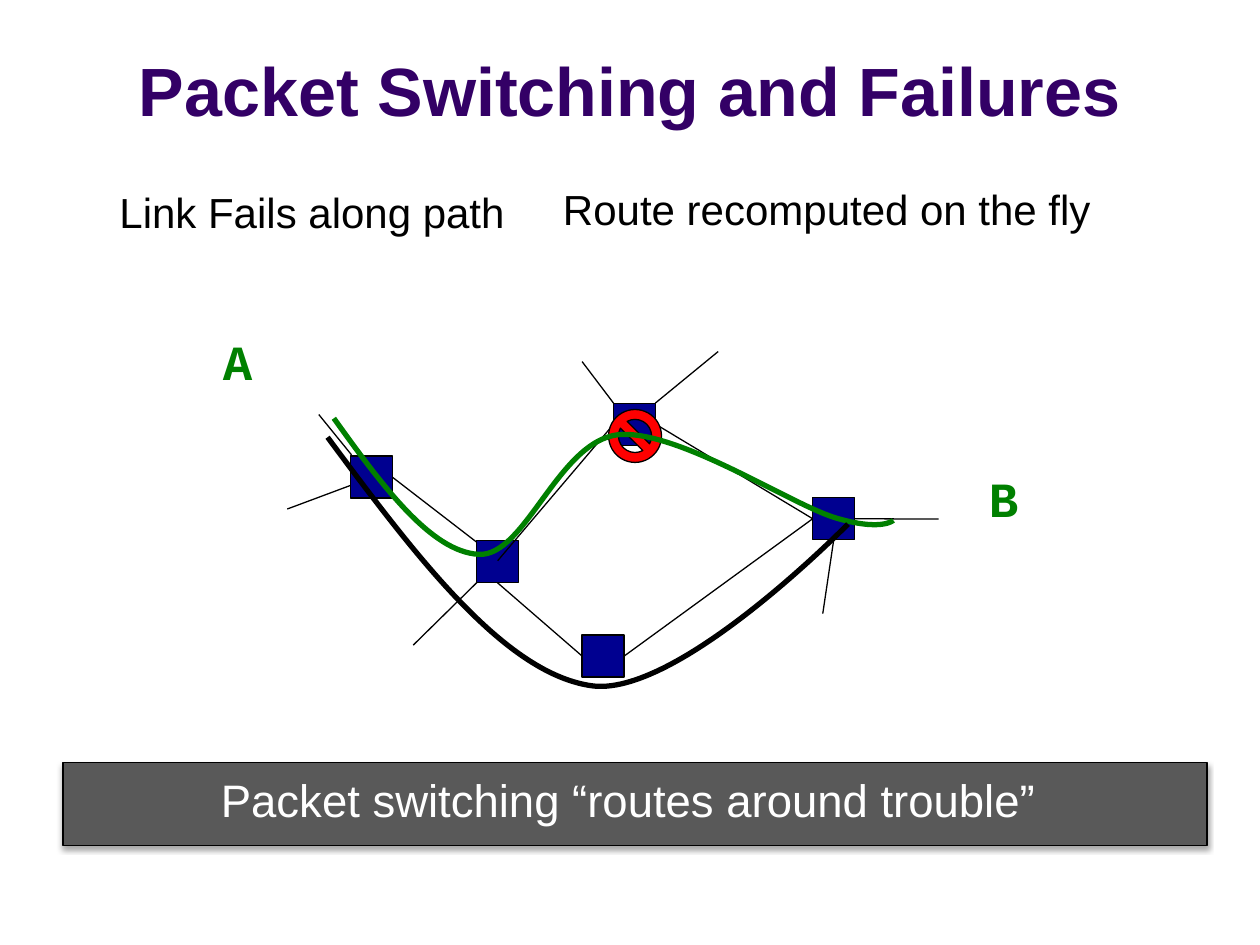
from lxml import etree
from pptx import Presentation, util as u
from pptx.dml.color import RGBColor
from pptx.enum import shapes, text
from pptx.oxml import ns

COLUMNS, ROWS = 100, 75
CELL = u.Inches(0.1)
BLACK, GREEN, NAVY = "000000", "008000", "000090"
NODE = 3.34
TOP, LEFT, BOTTOM, RIGHT = range(4)

NODES = {
    "south": (26.2, 25.4),
    "north": (28.7, 7),
    "east": (44.5, 14.5),
    "west": (7.8, 11.2),
    "hub": (17.8, 17.9),
}
LINKS_BEHIND = [
    ((12.8, 26.2), (18.7, 20.4)),
    ((5.3, 7.9), (7.9, 11.1)),
    ((9.5, 12.9), (2.8, 15.4)),
    ((26.2, 3.7), (28.7, 7)),
    ((37, 2.9), (32, 7)),
]
LINKS_IN_FRONT = [
    (("hub", BOTTOM), ("south", LEFT)),
    ((19.5, 19.5), ("north", LEFT)),
    (("south", RIGHT), ("east", LEFT)),
    (("north", RIGHT), ("east", LEFT)),
    (("east", RIGHT), (54.5, 16.2)),
    (("east", BOTTOM), (45.3, 23.7)),
]
FAILED_ROUTE = [
    (6.5, 8.2), (10.3, 13.5), (14.2, 18.8), (18, 19),
    (21.7, 19.2), (24.3, 10), (29.1, 9.5),
    (33.8, 9.1), (42.7, 15), (46.3, 16.1),
    (50, 17.2), (50.9, 16.3), (50.9, 16.3),
]
NEW_ROUTE = [
    (6, 9.7), (12.9, 19), (19.9, 28.3), (26.8, 29.4),
    (33.6, 30.6), (47.3, 16.6), (47.3, 16.6),
]


def color(value):
    return RGBColor.from_string(value)


def cells(*lengths):
    return [u.Emu(round(length * CELL)) for length in lengths]


def set_line(line, value, width):
    line.color.rgb = color(value)
    line.width = u.Pt(width)


def add_preset(page, kind, area, fill):
    shape = page.shapes.add_shape(kind, *cells(*area))
    shape.shadow.inherit = False
    shape.fill.solid()
    shape.fill.fore_color.rgb = color(fill)
    set_line(shape.line, BLACK, 0.75)
    return shape


def write(box, words, size, value, font="Arial", bold=False,
          align=text.PP_ALIGN.LEFT, anchor=text.MSO_ANCHOR.TOP):
    frame = box.text_frame
    frame.word_wrap = True
    frame.vertical_anchor = anchor
    para = frame.paragraphs[0]
    para.alignment = align
    span = para.add_run()
    span.text = words
    span.font.name = font
    span.font.size = u.Pt(size)
    span.font.bold = bold
    span.font.color.rgb = color(value)


def add_label(page, area, words, size, value, **style):
    box = page.shapes.add_textbox(*cells(*area))
    write(box, words, size, value, **style)


def add_link(page, origin, nodes, start, end):
    left, top = origin
    link = page.shapes.add_connector(shapes.MSO_CONNECTOR.STRAIGHT, 0, 0, 0, 0)
    if start[0] in nodes:
        link.begin_connect(nodes[start[0]], start[1])
    else:
        link.begin_x, link.begin_y = cells(left + start[0], top + start[1])
    if end[0] in nodes:
        link.end_connect(nodes[end[0]], end[1])
    else:
        link.end_x, link.end_y = cells(left + end[0], top + end[1])
    set_line(link.line, BLACK, 0.75)
    etree.SubElement(link._element.spPr, ns.qn("a:effectLst"))


def add_route(page, origin, points, value):
    left, top = origin
    places = [cells(left + x, top + y) for x, y in points]
    builder = page.shapes.build_freeform(*places[0])
    builder.add_line_segments(places[1:], close=False)
    route = builder.convert_to_shape()
    route.shadow.inherit = False
    route.fill.background()
    set_line(route.line, value, 3)
    steps = route._element.xpath(".//a:lnTo")
    outline = steps[0].getparent()
    for first in range(0, len(steps), 3):
        curve = etree.SubElement(outline, ns.qn("a:cubicBezTo"))
        for step in steps[first:first + 3]:
            curve.append(step[0])
            outline.remove(step)


def add_network(page, area):
    left, top = origin = area[:2]
    nodes = {}

    def place(name):
        x, y = NODES[name]
        nodes[name] = add_preset(page, shapes.MSO_SHAPE.RECTANGLE,
                                 (left + x, top + y, NODE, NODE), NAVY)

    for name in ("south", "north", "east"):
        place(name)
    for start, end in LINKS_BEHIND:
        add_link(page, origin, nodes, start, end)
    place("west")
    add_link(page, origin, nodes, ("west", RIGHT), (18.7, 18.7))
    place("hub")
    for start, end in LINKS_IN_FRONT:
        add_link(page, origin, nodes, start, end)
    for words, x, y in (("A", -3.3, 0.8), ("B", 57.5, 11.7)):
        add_label(page, (left + x, top + y, 5.5, 5.7), words, 28.1, GREEN,
                  font="Courier New", bold=True)
    add_preset(page, shapes.MSO_SHAPE.NO_SYMBOL,
               (left + 28.3, top + 7.5, 4.2, 4.2), "FF0000")
    add_route(page, origin, FAILED_ROUTE, GREEN)
    add_route(page, origin, NEW_ROUTE, BLACK)


def add_title(page, area):
    add_label(page, area, "Packet Switching and Failures", 39, "330066",
              bold=True, align=text.PP_ALIGN.CENTER,
              anchor=text.MSO_ANCHOR.BOTTOM)


def add_captions(page, area):
    left, top, width, height = area
    add_label(page, (left, top + 0.2, 41.7, height),
              "Link Fails along path", 24, BLACK)
    add_label(page, (left + width - 44.7, top, 44.7, height),
              "Route recomputed on the fly", 24, BLACK)


def add_banner(page, area):
    banner = add_preset(page, shapes.MSO_SHAPE.RECTANGLE, area, "595959")
    banner.text_frame.margin_top = u.Inches(0.08)
    write(banner, "Packet switching “routes around trouble” ", 26, "FFFFFF",
          align=text.PP_ALIGN.CENTER)
    effects = banner._element.spPr.find(ns.qn("a:effectLst"))
    shadow = etree.SubElement(effects, ns.qn("a:outerShdw"), {
        "blurRad": str(u.Pt(3.1)), "dist": str(u.Pt(1.8)),
        "dir": "5400000", "rotWithShape": "0"})
    shade = etree.SubElement(shadow, ns.qn("a:srgbClr"), val=BLACK)
    etree.SubElement(shade, ns.qn("a:alpha"), val="35000")


def main():
    deck = Presentation()
    deck.slide_width, deck.slide_height = cells(COLUMNS, ROWS)
    page = deck.slides.add_slide(deck.slide_layouts[6])
    add_title(page, (0, 1.3, COLUMNS, 9.5))
    add_banner(page, (5, 60.5, 90.8, 6.6))
    add_network(page, (20, 25, 60, 32))
    add_captions(page, (8.5, 14.1, 79.9, 5))
    deck.save("out.pptx")


if __name__ == "__main__":
    main()
